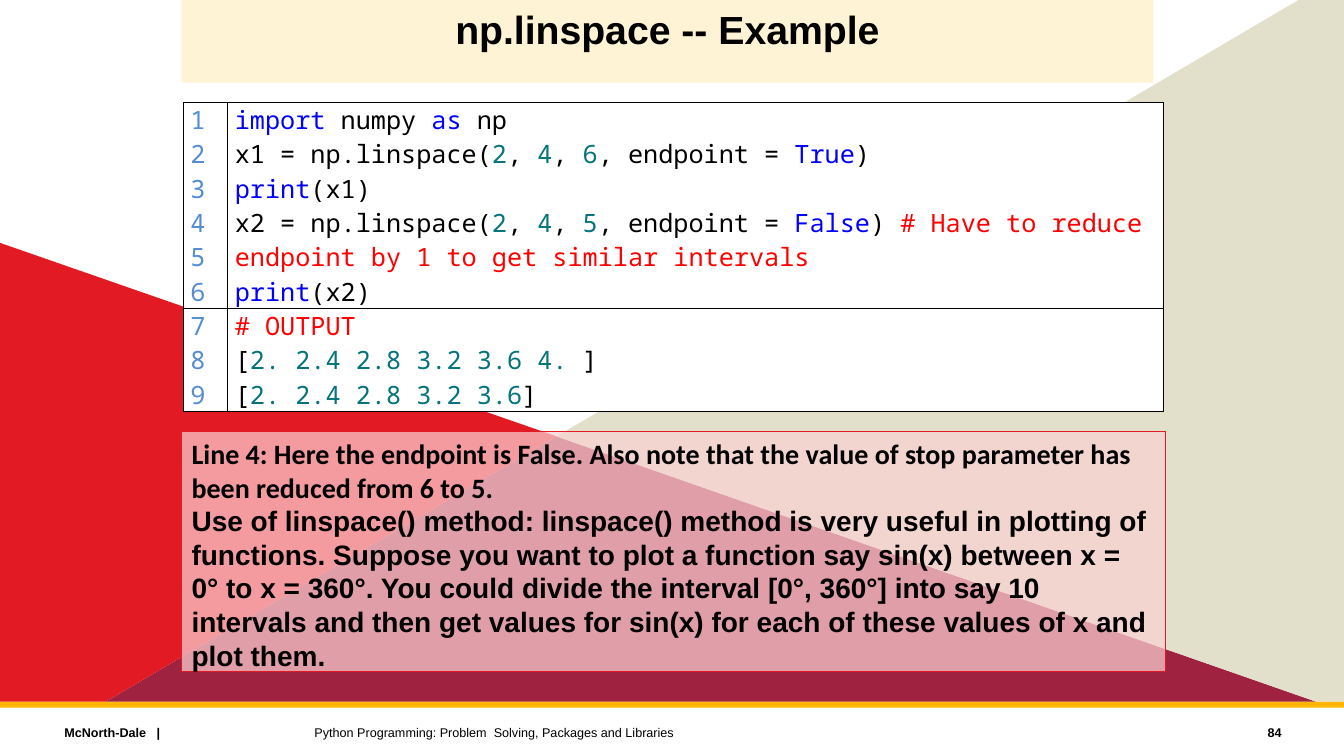
from lxml.etree import SubElement
from pptx import Presentation
from pptx.dml.color import RGBColor as RGB
from pptx.enum.shapes import MSO_SHAPE as SHAPE
from pptx.enum.text import MSO_ANCHOR as ANCHOR, MSO_AUTO_SIZE as AUTO, PP_ALIGN as ALIGN
from pptx.oxml.ns import qn
from pptx.util import Inches, Pt

WIDTH, HEIGHT = Inches(13.33), Inches(7.5)
BLACK, WHITE = RGB(0, 0, 0), RGB(255, 255, 255)
AMBER, RED = RGB(0xFF, 0xB6, 0x00), RGB(0xE2, 0x1A, 0x23)
PLUM, SAND = RGB(0x9F, 0x22, 0x41), RGB(0xE2, 0xDF, 0xCA)
CREAM, PINK = RGB(0xFF, 0xF0, 0xCC), RGB(0xFA, 0xD1, 0xD3)
LINE_NO, KEYWORD = RGB(0x54, 0x8D, 0xD4), RGB(0, 0, 0xFF)
NUMBER, COMMENT = RGB(0x04, 0x73, 0x7B), RGB(0xFF, 0, 0)
BAR_TOP, BAR_HEIGHT = 92.8, 0.8
FOOTER_TOP, FOOTER_HEIGHT = 95.2, 3.33
PEAK = (41.41, 57.73)
LEFT_FOOT, RIGHT_FOOT = (7.88, BAR_TOP), (97.9, BAR_TOP)
CODE_COLS, CODE_ROWS = (3.3, 69.62), (27.2, 13.6)


def linspace_call(name, stop, endpoint):
    return [(f"{name} = np.linspace(", BLACK), ("2", NUMBER), (", ", BLACK),
            ("4", NUMBER), (", ", BLACK), (stop, NUMBER),
            (", endpoint = ", BLACK), (endpoint, KEYWORD)]


def print_call(name):
    return [("print", KEYWORD), (f"({name})", BLACK)]


def line_numbers(first, last):
    return [[(str(n), LINE_NO)] for n in range(first, last + 1)]


PROGRAM = [
    [("import ", KEYWORD), ("numpy ", BLACK), ("as", KEYWORD), (" np", BLACK)],
    linspace_call("x1", "6", "True") + [(")", BLACK)],
    print_call("x1"),
    linspace_call("x2", "5", "False") + [
        (") ", BLACK),
        ("# Have to reduce endpoint by 1 to get similar intervals", COMMENT)],
    print_call("x2"),
]
OUTPUT = [
    [("# OUTPUT", COMMENT)],
    [("[", BLACK), ("2. 2.4 2.8 3.2 3.6 4.", NUMBER), (" ]", BLACK)],
    [("[", BLACK), ("2. 2.4 2.8 3.2 3.6", NUMBER), ("]", BLACK)],
]
NOTES = [
    ("Line 4: Here the endpoint is False. Also note that the value of stop "
     "parameter has been reduced from 6 to 5.", "Calibri"),
    ("Use of linspace() method: linspace() method is very useful in plotting of "
     "functions. Suppose you want to plot a function say sin(x) between x = 0° "
     "to x = 360°. You could divide the interval [0°, 360°] into say 10 intervals "
     "and then get values for sin(x) for each of these values of x and plot them.",
     "Arial"),
]


def across(share):
    return round(WIDTH * share / 100)


def down(share):
    return round(HEIGHT * share / 100)


def area(x, y, w, h):
    return across(x), down(y), across(w), down(h)


def write(p, text, size=9, font="Arial", color=BLACK, bold=False):
    r = p.add_run()
    r.text = text
    r.font.size, r.font.name, r.font.bold = Pt(size), font, bold
    r.font.color.rgb = color


def paragraph(tf, index):
    return tf.add_paragraph() if index else tf.paragraphs[0]


def paint(sp, color, opacity=100):
    sp.fill.solid()
    sp.fill.fore_color.rgb = color
    if opacity < 100:
        clr = sp.fill._xPr.find(qn("a:solidFill"))[0]
        SubElement(clr, qn("a:alpha"), val=str(opacity * 1000))


def plain(sp, color):
    paint(sp, color)
    sp.line.fill.background()
    sp.shadow.inherit = False


def polygon(slide, color, *corners):
    points = [(across(x), down(y)) for x, y in corners]
    builder = slide.shapes.build_freeform(*points[0])
    builder.add_line_segments(points[1:], close=True)
    plain(builder.convert_to_shape(), color)


def backdrop(slide):
    bar = slide.shapes.add_shape(SHAPE.RECTANGLE, *area(0, BAR_TOP, 100, BAR_HEIGHT))
    plain(bar, AMBER)
    polygon(slide, PLUM, PEAK, RIGHT_FOOT, LEFT_FOOT)
    polygon(slide, SAND, (96.62, 0), (100, 0), (100, BAR_TOP), RIGHT_FOOT, PEAK)
    polygon(slide, RED, (0, 32.13), PEAK, LEFT_FOOT, (0, BAR_TOP))


def footer(slide, text, x, w, align=ALIGN.LEFT, bold=False):
    tf = slide.shapes.add_textbox(*area(x, FOOTER_TOP, w, FOOTER_HEIGHT)).text_frame
    tf.word_wrap, tf.vertical_anchor = True, ANCHOR.MIDDLE
    p = tf.paragraphs[0]
    p.alignment = align
    write(p, text, bold=bold)


def placeholder(sp, box, color, opacity):
    sp.left, sp.top, sp.width, sp.height = box
    paint(sp, color, opacity)
    sp._element.getparent().append(sp._element)
    tf = sp.text_frame
    tf.auto_size, tf.word_wrap, tf.vertical_anchor = AUTO.NONE, True, ANCHOR.TOP
    return tf


def heading(slide):
    tf = placeholder(slide.shapes.title, area(13.5, 0, 72.32, 10.93), CREAM, 80)
    p = tf.paragraphs[0]
    p.alignment = ALIGN.CENTER
    write(p, "np.linspace -- Example", size=28, bold=True)


def explanation(slide):
    sp = slide.placeholders[1]
    tf = placeholder(sp, area(13.5, 57.07, 73.22, 31.73), PINK, 71)
    sp.line.color.rgb, sp.line.width = RED, Pt(0.75)
    for i, (text, font) in enumerate(NOTES):
        p = paragraph(tf, i)
        p.alignment, p.space_before, p.line_spacing = ALIGN.LEFT, Pt(0), Pt(24)
        write(p, text, size=20, font=font, bold=True)


def border(cell):
    tcPr = cell._tc.get_or_add_tcPr()
    for i, side in enumerate(("lnL", "lnR", "lnT", "lnB")):
        ln = tcPr.makeelement(qn(f"a:{side}"), {"w": str(Pt(1))})
        solid = SubElement(ln, qn("a:solidFill"))
        SubElement(solid, qn("a:srgbClr"), val=str(BLACK))
        tcPr.insert(i, ln)


def code_cell(cell, lines):
    cell.margin_left = cell.margin_right = Inches(0.07)
    cell.margin_top = cell.margin_bottom = 0
    paint(cell, WHITE)
    border(cell)
    for i, tokens in enumerate(lines):
        p = paragraph(cell.text_frame, i)
        for text, color in tokens:
            write(p, text, size=18, font="Noto Sans Mono", color=color)


def code_table(slide):
    box = area(13.65, 13.6, sum(CODE_COLS), sum(CODE_ROWS))
    table = slide.shapes.add_table(2, 2, *box).table
    table.first_row = table.horz_banding = False
    for column, share in zip(table.columns, CODE_COLS):
        column.width = across(share)
    for row, share in zip(table.rows, CODE_ROWS):
        row.height = down(share)
    contents = [line_numbers(1, 6), PROGRAM, line_numbers(7, 9), OUTPUT]
    for cell, lines in zip(table.iter_cells(), contents):
        code_cell(cell, lines)


def main():
    prs = Presentation()
    prs.slide_width, prs.slide_height = WIDTH, HEIGHT
    slide = prs.slides.add_slide(prs.slide_layouts[0])
    backdrop(slide)
    footer(slide, "McNorth-Dale   |", 4.05, 17.03, bold=True)
    footer(slide, "84", 85.6, 10.5, align=ALIGN.RIGHT, bold=True)
    footer(slide, "Python Programming: Problem  Solving, Packages and Libraries", 22.66, 45)
    heading(slide)
    code_table(slide)
    explanation(slide)
    prs.save("out.pptx")


if __name__ == "__main__":
    main()
